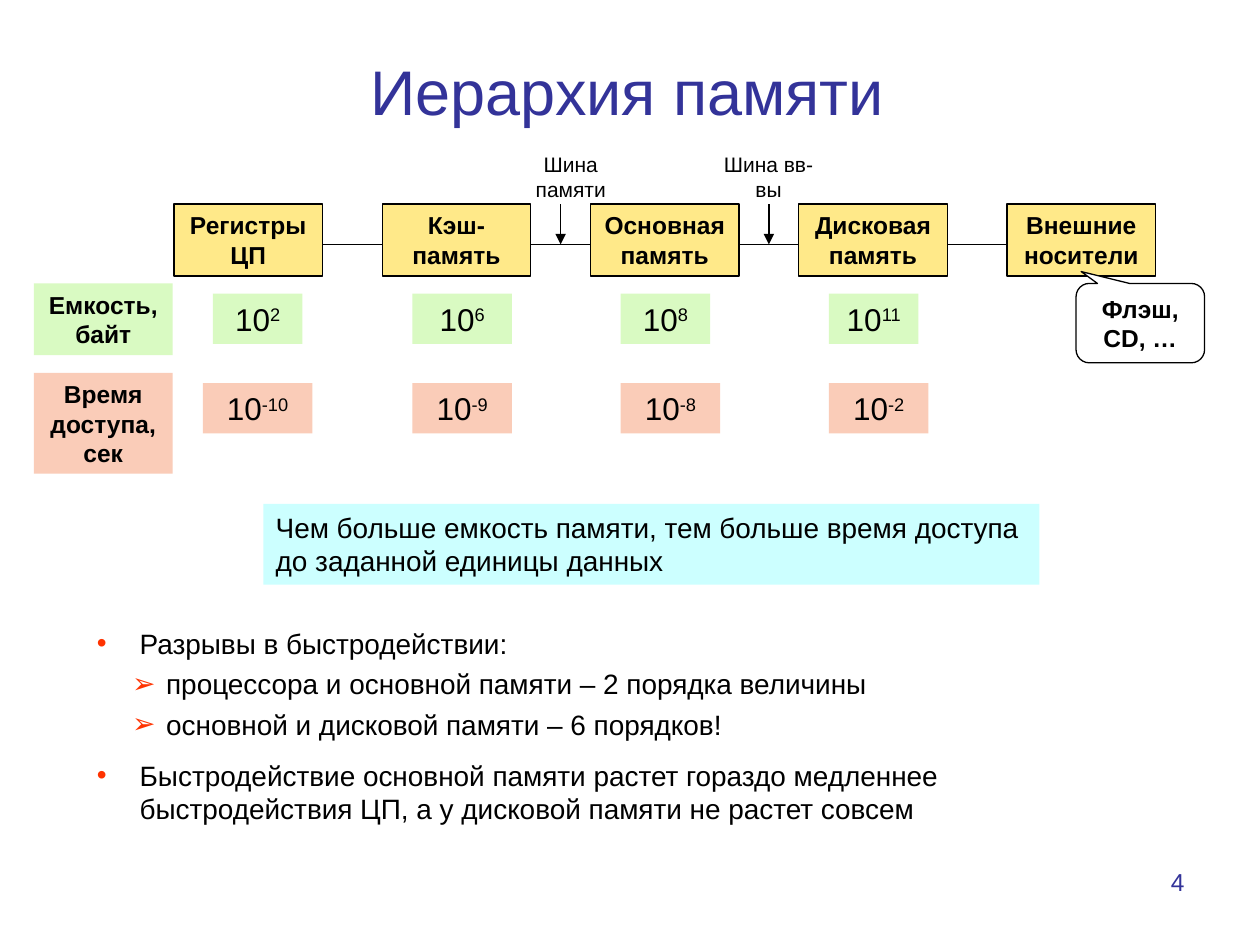
from lxml.etree import SubElement
from pptx import Presentation
from pptx.dml.color import RGBColor
from pptx.enum.shapes import MSO_CONNECTOR, MSO_SHAPE
from pptx.enum.text import MSO_ANCHOR, PP_ALIGN
from pptx.oxml.ns import qn
from pptx.util import Inches, Pt

BLACK, BLUE, ORANGE = "000000", "333399", "FF3300"
YELLOW, GREEN, PINK, CYAN, WHITE = "FFE989", "D9FAC2", "FACCB8", "CCFFFF", "FFFFFF"

LEVELS = ["Регистры ЦП", "Кэш-память", "Основная память", "Дисковая память", "Внешние носители"]
BUSES = [("Шина памяти", 1, 4.06), ("Шина вв-вы", 2, 5.63)]  # text, level before the bus, left

# Each measure: label, colour, top, height, cells of (exponent, offset in column, width)
MEASURES = [
    ("Емкость, байт", GREEN, 2.25, 0.57,
     [("2", 0.31, 0.71), ("6", 0.24, 0.79), ("8", 0.24, 0.71), ("11", 0.24, 0.71)]),
    ("Время доступа, сек", PINK, 2.96, 0.8,
     [("-10", 0.23, 0.87), ("-9", 0.24, 0.79), ("-8", 0.24, 0.79), ("-2", 0.24, 0.79)]),
]
CONCLUSION = "Чем больше емкость памяти, тем больше время доступа до заданной единицы данных"
BULLETS = [
    (0, "Разрывы в быстродействии:"),
    (1, "процессора и основной памяти – 2 порядка величины"),
    (1, "основной и дисковой памяти – 6 порядков!"),
    (0, "Быстродействие основной памяти растет гораздо медленнее "
        "быстродействия ЦП, а у дисковой памяти не растет совсем"),
]
# Per outline level: bullet, left margin, hanging, space before
BULLET_STYLES = [("•", 0.34, 0.34, 10), ("➢", 0.55, 0.27, 4)]

COLUMN_LEFT, COLUMN_STEP = 1.38, 1.653
LEVEL_TOP, LEVEL_WIDTH, LEVEL_HEIGHT = 1.62, 1.18, 0.57
LINK_Y = 1.94

presentation = Presentation()
presentation.slide_width, presentation.slide_height = Inches(10), Inches(7.5)
slide = presentation.slides.add_slide(presentation.slide_layouts[6])


def color(value):
    return RGBColor.from_string(value)


def column_left(index):
    return COLUMN_LEFT + index * COLUMN_STEP


def style_font(font, size, value=BLACK, bold=False):
    font.name, font.size, font.bold = "Arial", Pt(size), bold
    font.color.rgb = color(value)


def write(shape, text, size, value=BLACK, bold=False, align=PP_ALIGN.CENTER, anchor=MSO_ANCHOR.TOP):
    frame = shape.text_frame
    frame.word_wrap, frame.vertical_anchor = True, anchor
    frame.text = text
    paragraph = frame.paragraphs[0]
    paragraph.alignment = align
    style_font(paragraph.runs[0].font, size, value, bold)
    return paragraph


def add_text(box, text, size, **options):
    shape = slide.shapes.add_textbox(*map(Inches, box))
    write(shape, text, size, **options)
    return shape


def add_block(box, fill, outlined=False, preset=MSO_SHAPE.RECTANGLE):
    shape = slide.shapes.add_shape(preset, *map(Inches, box))
    shape.shadow.inherit = False
    shape.fill.solid()
    shape.fill.fore_color.rgb = color(fill)
    if outlined:
        shape.line.color.rgb = color(BLACK)
        shape.line.width = Pt(0.75)
    else:
        shape.line.fill.background()
    return shape


def add_line(x1, y1, x2, y2, arrow=False):
    line = slide.shapes.add_connector(MSO_CONNECTOR.STRAIGHT, *map(Inches, (x1, y1, x2, y2)))
    line.line.color.rgb = color(BLACK)
    line.line.width = Pt(0.75)
    if arrow:
        SubElement(line.line._get_or_add_ln(), qn("a:tailEnd"), type="triangle")
    SubElement(line._element.spPr, qn("a:effectLst"))


def add_power(box, fill, exponent):
    """Draw ten with a raised exponent."""
    paragraph = write(add_block(box, fill), "10", 18)
    run = paragraph.add_run()
    run.text = exponent
    style_font(run.font, 18)
    run.font._element.set("baseline", "30000")


def set_bullet(paragraph, character, margin, hanging):
    properties = paragraph._p.get_or_add_pPr()
    properties.set("marL", str(Inches(margin)))
    properties.set("indent", str(-Inches(hanging)))
    bullet_color = SubElement(properties, qn("a:buClr"))
    SubElement(bullet_color, qn("a:srgbClr"), val=ORANGE)
    SubElement(properties, qn("a:buFont"), typeface="Arial")
    SubElement(properties, qn("a:buChar"), char=character)


add_text((0.08, 0.12, 9.8, 1.19), "Иерархия памяти", 36, value=BLUE, anchor=MSO_ANCHOR.MIDDLE)

for index, level in enumerate(LEVELS):
    left = column_left(index)
    box = add_block((left, LEVEL_TOP, LEVEL_WIDTH, LEVEL_HEIGHT), YELLOW, outlined=True)
    write(box, level, 14, bold=True)
    if index:
        add_line(column_left(index - 1) + LEVEL_WIDTH, LINK_Y, left, LINK_Y)

for label, level, left in BUSES:
    add_text((left, 1.15, 0.94, 0.5), label, 12)
    middle = (column_left(level) + LEVEL_WIDTH + column_left(level + 1)) / 2
    add_line(middle, LEVEL_TOP, middle, LINK_Y, arrow=True)

for label, fill, top, height, cells in MEASURES:
    write(add_block((0.27, top, 1.1, height), fill), label, 14, bold=True)
    for index, (exponent, offset, width) in enumerate(cells):
        add_power((column_left(index) + offset, top + 0.08, width, 0.4), fill, exponent)

callout = add_block((8.54, 2.25, 1.02, 0.63), WHITE, True, MSO_SHAPE.ROUNDED_RECTANGULAR_CALLOUT)
callout.adjustments[0], callout.adjustments[1] = -0.46, -0.65
write(callout, "Флэш, CD, …", 14, bold=True)

write(add_block((2.09, 4, 6.16, 0.64), CYAN), CONCLUSION, 16, align=PP_ALIGN.LEFT)

outline = slide.shapes.add_textbox(*map(Inches, (0.67, 4.92, 8.25, 1.69))).text_frame
outline.word_wrap = True
for index, (level, text) in enumerate(BULLETS):
    paragraph = outline.add_paragraph() if index else outline.paragraphs[0]
    character, margin, hanging, space = BULLET_STYLES[level]
    paragraph.text = text
    paragraph.level = level
    set_bullet(paragraph, character, margin, hanging)
    if index:
        paragraph.space_before = Pt(space)
    style_font(paragraph.runs[0].font, 16)

add_text((7.17, 6.83, 2.33, 0.52), "4", 14, value=BLUE, align=PP_ALIGN.RIGHT)

presentation.save("out.pptx")
